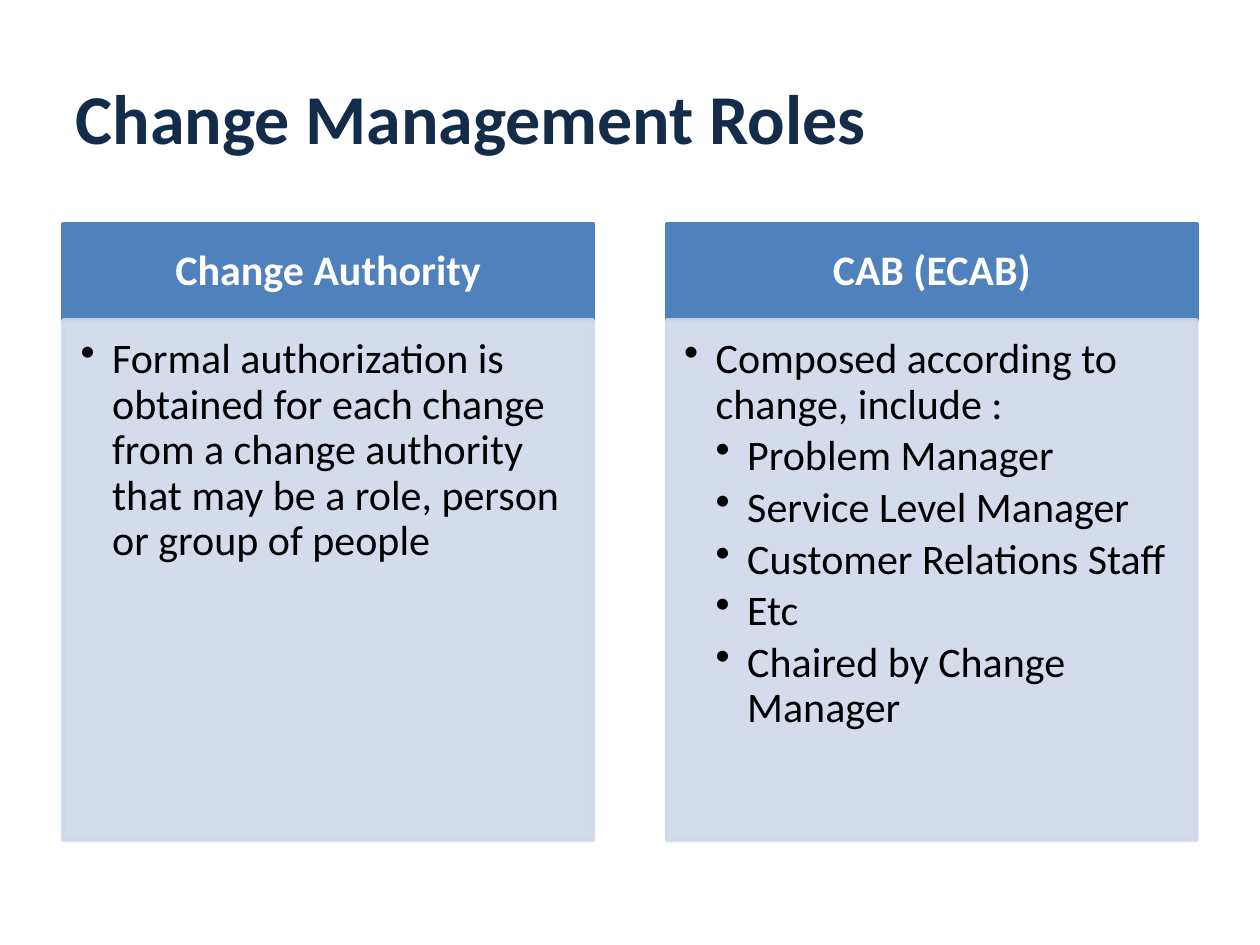
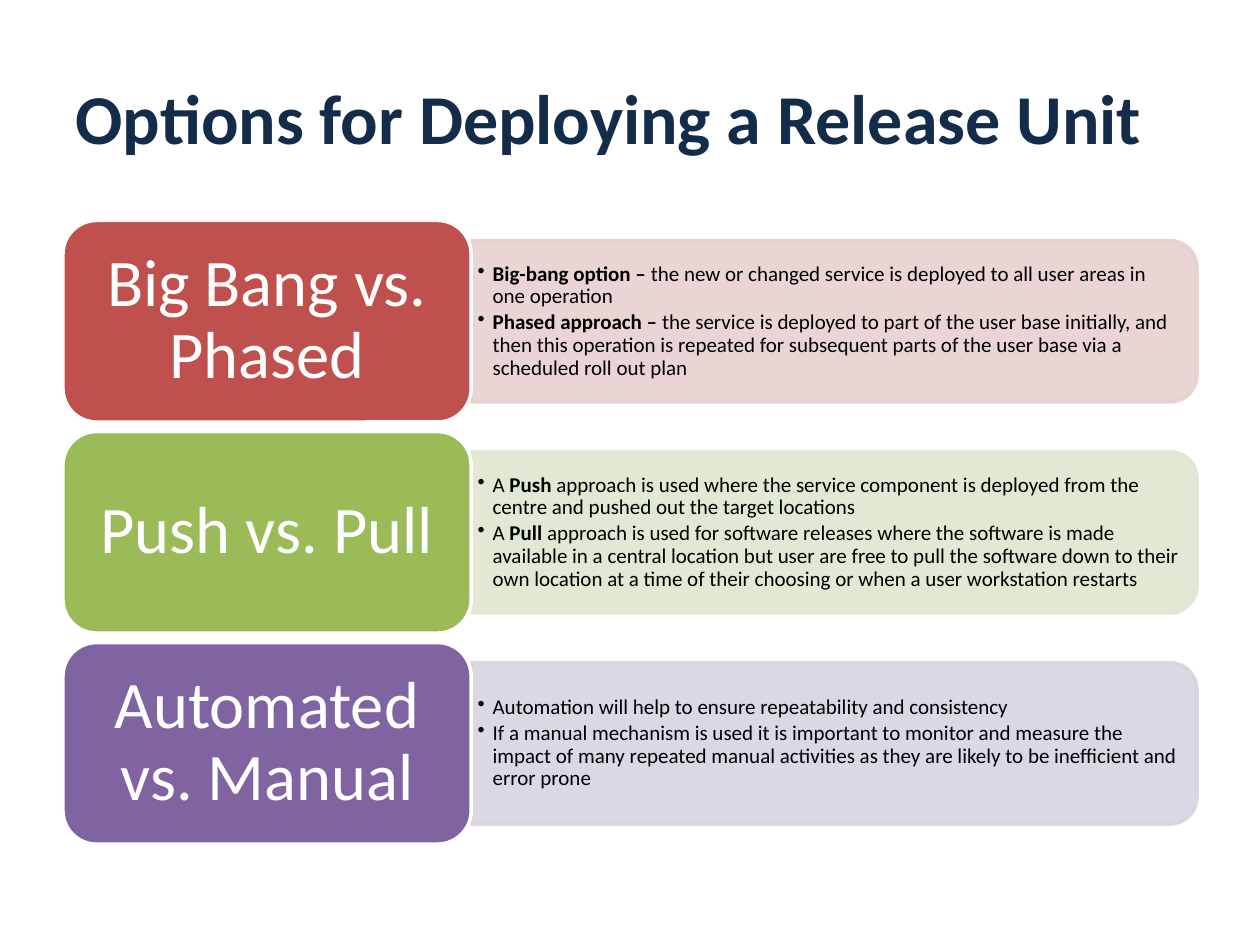
from lxml.etree import SubElement
from pptx import Presentation
from pptx.dml.color import RGBColor
from pptx.enum.shapes import MSO_SHAPE
from pptx.enum.text import MSO_ANCHOR, MSO_AUTO_SIZE, PP_ALIGN
from pptx.oxml.ns import qn
from pptx.util import Inches, Pt

FONT = "Calibri"
NAVY, BLUE, PALE_BLUE = "132C4A", "4F81BD", "D0D8E8"
WHITE, BLACK = "FFFFFF", "000000"
LEFT, WIDTH = 0.5, 9

ROLES = [
    ("Change Authority", [
        (1, "Formal authorization is obtained for each change from a change "
            "authority that may be a role, person or group of people"),
    ]),
    ("CAB (ECAB)", [
        (1, "Composed according to change, include :"),
        (2, "Problem Manager"),
        (2, "Service Level Manager"),
        (2, "Customer Relations Staff"),
        (2, "Etc"),
        (2, "Chaired by Change Manager"),
    ]),
]

# Words between asterisks are bold.
OPTIONS = [
    ("Big Bang vs. Phased", "C0504D", "E8D0D0", [
        (1, "*Big-bang option – *the new or changed service is deployed to all "
            "user areas in one operation"),
        (1, "*Phased approach – *the service is deployed to part of the user "
            "base initially, and then this operation is repeated for "
            "subsequent parts of the user base via a scheduled roll out plan"),
    ]),
    ("Push vs. Pull", "9BBB59", "DEE7D1", [
        (1, "A* Push *approach is used where the service component is deployed "
            "from the centre and pushed out the target locations"),
        (1, "A* Pull *approach is used for software releases where the "
            "software is made available in a central location but user are "
            "free to pull the software down to their own location at a time "
            "of their choosing or when a user workstation restarts"),
    ]),
    ("Automated vs. Manual", "8064A2", "D8D3E0", [
        (1, "Automation will help to ensure repeatability and consistency"),
        (1, "If a manual mechanism is used it is important to monitor and "
            "measure the impact of many repeated manual activities as they "
            "are likely to be inefficient and error prone"),
    ]),
]


def rgb(hex_code):
    return RGBColor.from_string(hex_code)


def set_all(target, formats):
    for name, value in formats.items():
        setattr(target, name, value)


def set_frame(frame, anchor, insets):
    """Insets are left, top, right and bottom, in inches."""
    sides = ("margin_left", "margin_top", "margin_right", "margin_bottom")
    set_all(frame, {"word_wrap": True, "auto_size": MSO_AUTO_SIZE.NONE,
                    "vertical_anchor": anchor,
                    **dict(zip(sides, map(Inches, insets)))})


def add_runs(paragraph, text, size, colour, bold=False):
    for index, part in enumerate(text.split("*")):
        if part:
            run = paragraph.add_run()
            run.text = part
            set_all(run.font, {"name": FONT, "size": Pt(size),
                               "bold": bold or index % 2 == 1})
            run.font.color.rgb = rgb(colour)


def write_heading(frame, text, size, bold):
    paragraph = frame.paragraphs[0]
    set_all(paragraph, {"alignment": PP_ALIGN.CENTER, "line_spacing": 0.9})
    add_runs(paragraph, text, size, WHITE, bold)


def write_bullets(frame, items, size, indent):
    for index, (level, text) in enumerate(items):
        paragraph = frame.add_paragraph() if index else frame.paragraphs[0]
        set_all(paragraph, {"alignment": PP_ALIGN.LEFT, "level": level,
                            "line_spacing": 0.9,
                            "space_after": Pt(0.15 * size)})
        properties = paragraph._p.get_or_add_pPr()
        properties.set("marL", str(Inches(indent * level)))
        properties.set("indent", str(Inches(-indent)))
        SubElement(properties, qn("a:buChar")).set("char", "•")
        add_runs(paragraph, text, size, BLACK)


def add_block(slide, kind, box, fill, line, opacity=100):
    block = slide.shapes.add_shape(kind, *map(Inches, box))
    block.shadow.inherit = False
    block.fill.solid()
    block.fill.fore_color.rgb = rgb(fill)
    block.line.color.rgb = rgb(line)
    block.line.width = Pt(2)
    if opacity < 100:
        for colour in block.element.iter(qn("a:srgbClr")):
            SubElement(colour, qn("a:alpha")).set("val", str(opacity * 1000))
    return block


def add_titled_slide(deck, text):
    slide = deck.slides.add_slide(deck.slide_layouts[5])
    title = slide.shapes.title
    set_all(title, {"left": Inches(LEFT), "top": Inches(0.3),
                    "width": Inches(WIDTH), "height": Inches(1.25)})
    set_frame(title.text_frame, MSO_ANCHOR.MIDDLE, (0.1, 0.05, 0.1, 0.05))
    paragraph = title.text_frame.paragraphs[0]
    paragraph.alignment = PP_ALIGN.LEFT
    add_runs(paragraph, text, 40, NAVY, bold=True)
    return slide


def add_role_column(slide, box, role, duties):
    left, top, width, height = box
    header_height = 0.76
    header = add_block(slide, MSO_SHAPE.RECTANGLE,
                       (left, top, width, header_height), BLUE, BLUE)
    set_frame(header.text_frame, MSO_ANCHOR.MIDDLE, (0.19, 0.11, 0.19, 0.11))
    write_heading(header.text_frame, role, 24, bold=True)

    body = add_block(slide, MSO_SHAPE.RECTANGLE,
                     (left, top + header_height, width, height - header_height),
                     PALE_BLUE, PALE_BLUE, opacity=90)
    set_frame(body.text_frame, MSO_ANCHOR.TOP, (0.14, 0.14, 0.19, 0.21))
    write_bullets(body.text_frame, duties, 24, 0.25)


def add_option_row(slide, box, option, colour, tint, points):
    left, top, width, height = box
    label_width = 3.24
    panel_left, panel_width = left + label_width, width - label_width
    panel_height = 0.8 * height
    centre_x, centre_y = panel_left + panel_width / 2, top + height / 2

    # The panel is turned a quarter so that its round corners face right.
    panel = add_block(slide, MSO_SHAPE.ROUND_2_SAME_RECTANGLE,
                      (centre_x - panel_height / 2, centre_y - panel_width / 2,
                       panel_height, panel_width), tint, tint, opacity=90)
    panel.rotation = 90

    text_height = 1.15
    details = slide.shapes.add_textbox(*map(Inches, (
        panel_left, centre_y - text_height / 2, panel_width - 0.06, text_height)))
    set_frame(details.text_frame, MSO_ANCHOR.MIDDLE, (0.05, 0.03, 0.05, 0.03))
    write_bullets(details.text_frame, points, 12, 0.12)

    label = add_block(slide, MSO_SHAPE.ROUNDED_RECTANGLE,
                      (left, top, label_width, height), colour, WHITE)
    set_frame(label.text_frame, MSO_ANCHOR.MIDDLE, (0.16, 0.08, 0.16, 0.08))
    write_heading(label.text_frame, option, 38, bold=False)


def build_roles_slide(deck):
    slide = add_titled_slide(deck, "Change Management Roles")
    column_width = 4.21
    pitch = WIDTH - column_width
    for index, (role, duties) in enumerate(ROLES):
        add_role_column(slide, (LEFT + index * pitch, 1.78, column_width, 4.89),
                        role, duties)


def build_options_slide(deck):
    slide = add_titled_slide(deck, "Options for Deploying a Release Unit")
    top, total_height, row_height = 1.75, 4.95, 1.6
    pitch = (total_height - row_height) / (len(OPTIONS) - 1)
    for index, option in enumerate(OPTIONS):
        add_option_row(slide, (LEFT, top + index * pitch, WIDTH, row_height),
                       *option)


def main():
    deck = Presentation()
    set_all(deck, {"slide_width": Inches(10), "slide_height": Inches(7.5)})
    build_roles_slide(deck)
    build_options_slide(deck)
    deck.save("out.pptx")


if __name__ == "__main__":
    main()
